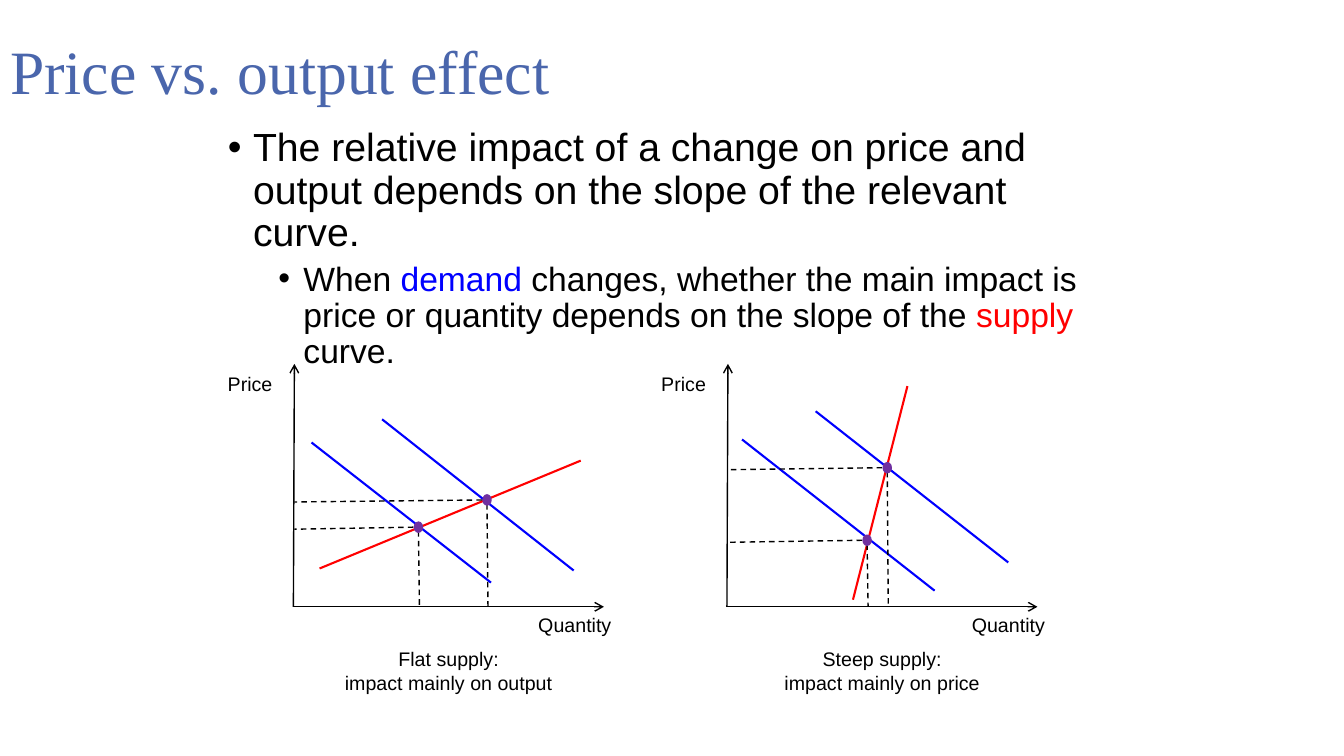
import pptx
import pptx.util
import pptx.dml.color
import pptx.enum.dml
import pptx.enum.shapes
import pptx.enum.text
import pptx.oxml
from pptx.oxml.ns import qn

COLORS = {"title": "4A66AC", "text": "000000", "demand": "0000FF",
          "supply": "FF0000", "equilibrium": "7030A0"}
TITLE = "Price vs. output effect"
BULLETS = [
    (0, 28, 0, [("The relative impact of a change on price and output depends "
                 "on the slope of the relevant curve.", "text")]),
    (1, 24, 5, [("When ", "text"), ("demand", "demand"),
                (" changes, whether the main impact is price or quantity "
                 "depends on the slope of the ", "text"),
                ("supply", "supply"), (" curve.", "text")]),
]
DIAGRAMS = [
    {"caption": "Flat supply:\nimpact mainly on output",
     "demand": [((0.18, 1.63), (1.96, 0.24)), ((0.88, 1.86), (2.78, 0.36))],
     "supply": [((0.26, 0.38), (2.85, 1.45))],
     "equilibrium": [(1.24, 0.79), (1.92, 1.06)]},
    {"caption": "Steep supply:\nimpact mainly on price",
     "demand": [((0.15, 1.66), (2.06, 0.16)), ((0.88, 1.94), (2.79, 0.44))],
     "supply": [((1.25, 0.07), (1.79, 2.19))],
     "equilibrium": [(1.39, 0.66), (1.59, 1.38)]},
]
FIRST_ORIGIN, BASELINE, DIAGRAM_STEP = 2.91, 6.02, 4.3
AXIS_WIDTH, AXIS_HEIGHT = 3.08, 2.41
DOT_WIDTH, DOT_HEIGHT = 0.08, 0.1

Inches, Pt = pptx.util.Inches, pptx.util.Pt
Align = pptx.enum.text.PP_ALIGN

deck = pptx.Presentation()
deck.slide_width, deck.slide_height = Inches(13.33), Inches(7.5)
slide = deck.slides.add_slide(deck.slide_layouts[1])


def rgb(name):
    return pptx.dml.color.RGBColor.from_string(COLORS[name])


def set_font(font, size, color, face="Arial"):
    font.size, font.name = Pt(size), face
    font.color.rgb = rgb(color)


def place(shape, left, top, width, height):
    shape.left, shape.top = Inches(left), Inches(top)
    shape.width, shape.height = Inches(width), Inches(height)


def add_line(origin, start, end, color, width=1, dashed=False, arrow=False):
    ends = [Inches(v) for x, y in (start, end) for v in (origin + x, BASELINE - y)]
    line = slide.shapes.add_connector(pptx.enum.shapes.MSO_CONNECTOR.STRAIGHT, *ends)
    line.line.color.rgb = rgb(color)
    line.line.width = Pt(width)
    if dashed:
        line.line.dash_style = pptx.enum.dml.MSO_LINE.DASH
    if arrow:
        tip = pptx.oxml.parse_xml(
            '<a:tailEnd xmlns:a="http://schemas.openxmlformats.org/drawingml/2006/main" type="arrow"/>')
        line.line._get_or_add_ln().append(tip)
    properties = line._element.spPr
    properties.append(properties.makeelement(qn("a:effectLst"), {}))


def add_label(text, left, top, width, height, align=Align.LEFT):
    label = slide.shapes.add_textbox(Inches(left), Inches(top), Inches(width), Inches(height))
    label.text_frame.word_wrap = True
    paragraph = label.text_frame.paragraphs[0]
    paragraph.text = text
    paragraph.alignment = align
    set_font(paragraph.font, 14, "text")


def add_dot(origin, x, y):
    dot = slide.shapes.add_shape(
        pptx.enum.shapes.MSO_SHAPE.OVAL,
        Inches(origin + x - DOT_WIDTH / 2), Inches(BASELINE - y - DOT_HEIGHT / 2),
        Inches(DOT_WIDTH), Inches(DOT_HEIGHT))
    dot.shadow.inherit = False
    dot.fill.solid()
    dot.fill.fore_color.rgb = rgb("equilibrium")
    dot.line.color.rgb = rgb("equilibrium")
    dot.line.width = Pt(1)


def add_diagram(origin, diagram):
    for curve in ("demand", "supply"):
        for start, end in diagram[curve]:
            add_line(origin, start, end, curve, 1.5)
    for x, y in diagram["equilibrium"]:
        add_line(origin, (x - 0.05, y), (0.01, y - 0.02), "text", dashed=True)
        add_line(origin, (x, y - 0.04), (x + 0.01, 0), "text", dashed=True)
        add_dot(origin, x, y)
    add_line(origin, (0, 0), (0.01, AXIS_HEIGHT), "text", arrow=True)
    add_line(origin, (0, 0), (AXIS_WIDTH, 0), "text", arrow=True)
    add_label("Price", origin - 0.75, 3.64, 0.85, 0.34)
    add_label("Quantity", origin + 2.33, 6.03, 0.97, 0.34)
    add_label(diagram["caption"], origin, 6.37, AXIS_WIDTH, 0.57, Align.CENTER)


title = slide.shapes.title
place(title, 0, 0.01, 11.5, 1.45)
title.text_frame.auto_size = pptx.enum.text.MSO_AUTO_SIZE.NONE
title.text_frame.vertical_anchor = pptx.enum.text.MSO_ANCHOR.MIDDLE
heading = title.text_frame.paragraphs[0]
heading.text = TITLE
heading.alignment = Align.LEFT
heading.line_spacing = 0.9
set_font(heading.font, 44, "title", "Times New Roman")

body = slide.placeholders[1]
place(body, 2.16, 1.22, 9, 5.6)
body.text_frame.auto_size = pptx.enum.text.MSO_AUTO_SIZE.NONE
for index, (level, size, space, runs) in enumerate(BULLETS):
    bullet = body.text_frame.add_paragraph() if index else body.text_frame.paragraphs[0]
    bullet.level = level
    bullet.line_spacing = 0.9
    bullet.space_before = Pt(space)
    marks = bullet._p.get_or_add_pPr()
    marks.set("marL", str(Inches(0.25 + 0.5 * level)))
    marks.set("indent", str(Inches(-0.25)))
    marks.append(marks.makeelement(qn("a:buFont"), {"typeface": "Arial"}))
    marks.append(marks.makeelement(qn("a:buChar"), {"char": "•"}))
    set_font(bullet.font, size, "text")
    for text, color in runs:
        run = bullet.add_run()
        run.text = text
        run.font.color.rgb = rgb(color)

for column, diagram in enumerate(DIAGRAMS):
    add_diagram(FIRST_ORIGIN + column * DIAGRAM_STEP, diagram)

deck.save("out.pptx")
